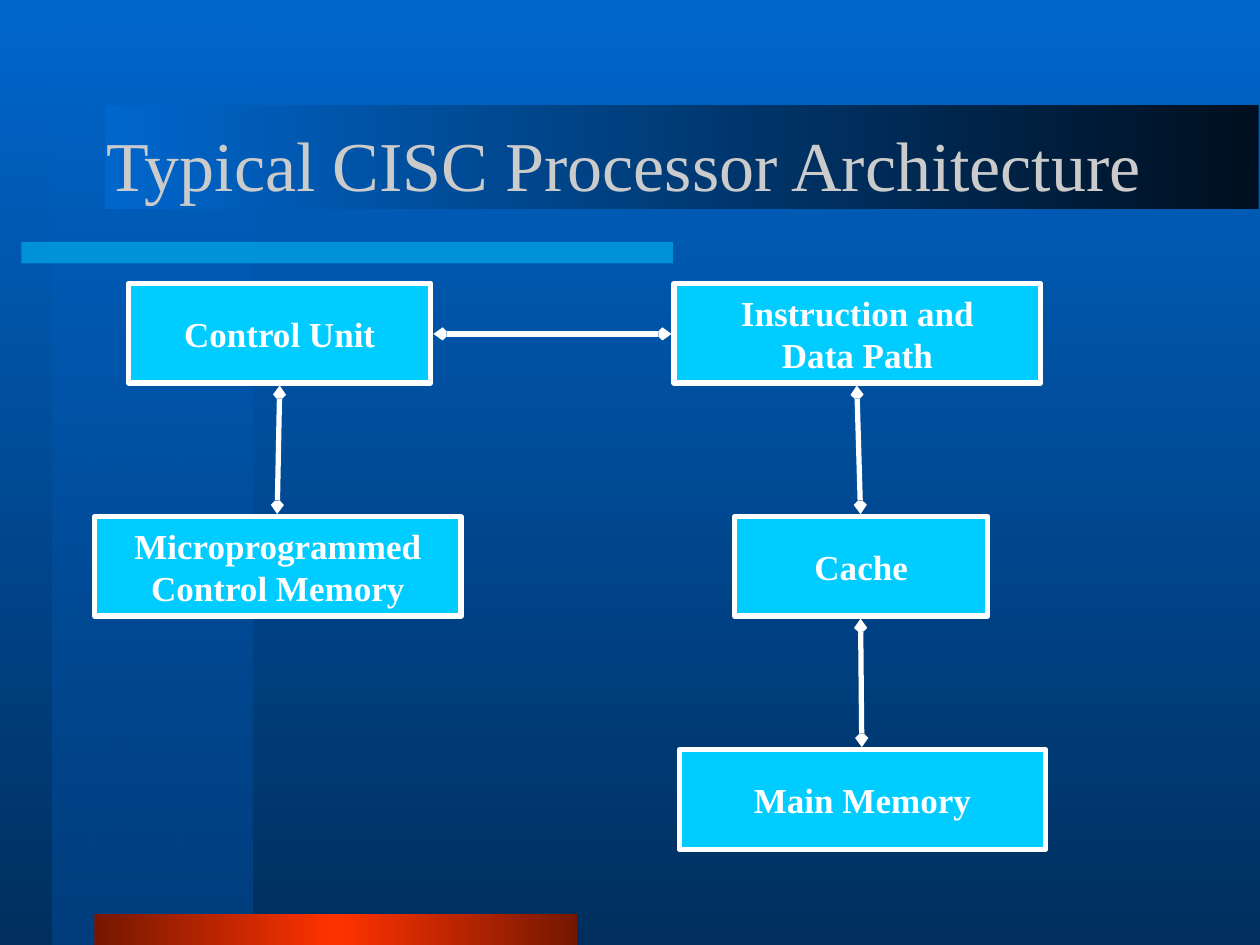
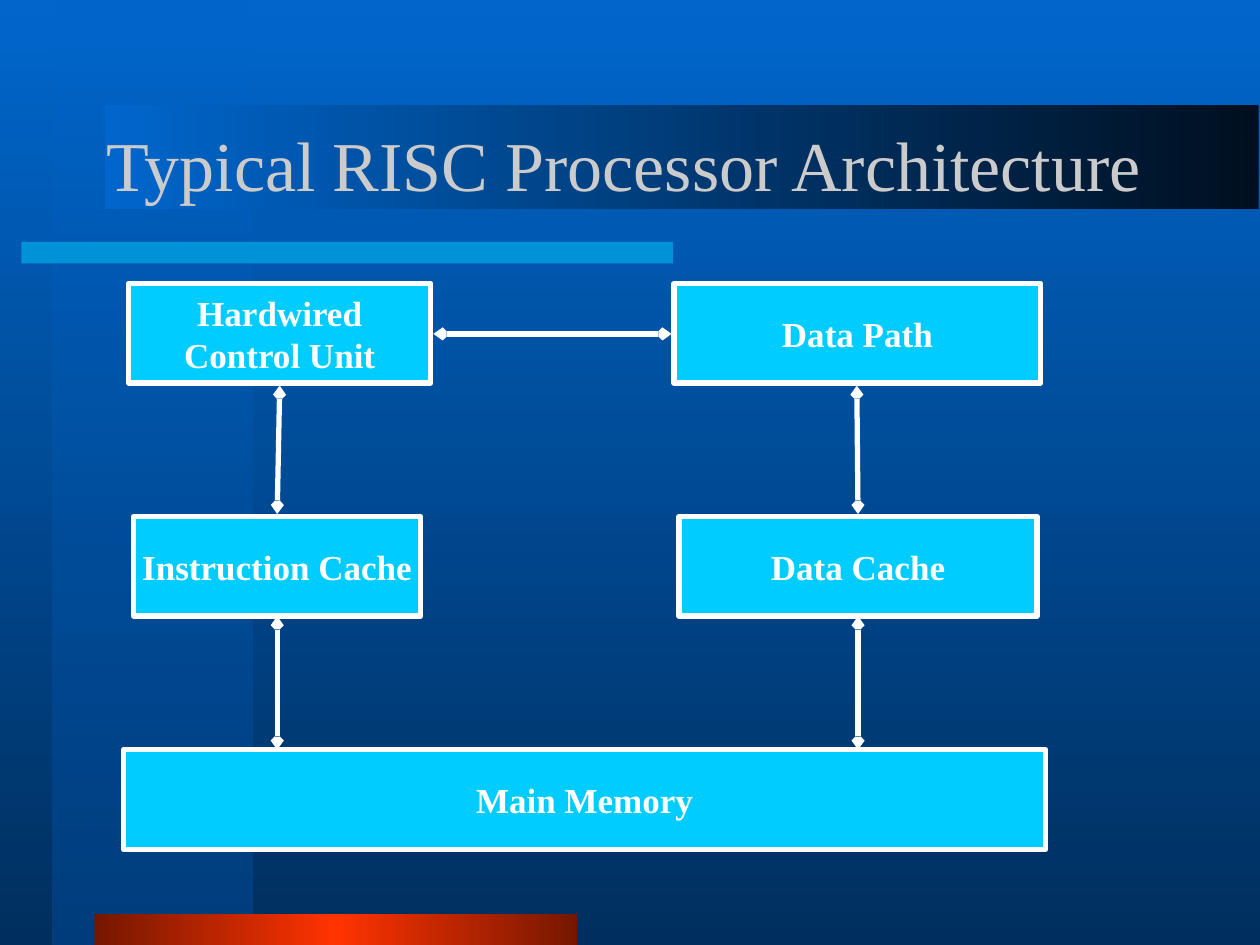
from dataclasses import dataclass
from typing import Any, Optional

from lxml.etree import SubElement
from pptx import Presentation
from pptx.dml.color import RGBColor
from pptx.enum.shapes import MSO_CONNECTOR, MSO_SHAPE
from pptx.enum.text import MSO_ANCHOR, PP_ALIGN
from pptx.oxml.ns import qn
from pptx.util import Emu, Pt

SCALE = 9144
FONT = "Times New Roman"
HEX = {
    "blue": "0066CC",
    "navy": "002F5E",
    "deep": "003E7D",
    "night": "000F1F",
    "cyan": "00CCFF",
    "rust": "751700",
    "red": "FF3300",
    "grey": "CBCBCB",
    "white": "FFFFFF",
}
ROWS = (225, 410, 595)
TALL = 79


@dataclass(frozen=True)
class Stop:
    pos: int
    tint: str
    alpha: int = 100


@dataclass(frozen=True)
class Band:
    left: int
    top: int
    width: int
    height: int
    stops: tuple[Stop, ...]
    angle: int = 0


@dataclass(frozen=True)
class Box:
    text: str
    left: int
    row: int
    width: int

    @property
    def top(self) -> int:
        return ROWS[self.row]

    @property
    def right(self) -> int:
        return self.left + self.width

    @property
    def base(self) -> int:
        return self.top + TALL

    @property
    def mid(self) -> int:
        return self.left + self.width // 2


@dataclass(frozen=True)
class Link:
    start: str
    end: str
    gap: int = 2
    plumb: bool = False


@dataclass(frozen=True)
class Page:
    title: str
    boxes: dict[str, Box]
    links: tuple[Link, ...]


BACK = (Stop(0, "blue"), Stop(100, "navy"))
BANDS = (
    Band(42, 0, 158, 750, (Stop(0, "blue", 50), Stop(100, "deep")), 90),
    Band(17, 192, 517, 17, (Stop(0, "cyan", 50),)),
    Band(75, 725, 383, 25, (Stop(0, "rust"), Stop(50, "red"), Stop(100, "rust")), 180),
    Band(83, 83, 916, 83, (Stop(0, "night"), Stop(100, "blue")), 180),
)
PAGES = (
    Page(
        "Typical CISC Processor Architecture",
        {
            "unit": Box("Control Unit", 102, 0, 240),
            "data": Box("Instruction and\nData Path", 535, 0, 291),
            "cache": Box("Cache", 583, 1, 201),
            "micro": Box("Microprogrammed\nControl Memory", 75, 1, 291),
            "main": Box("Main Memory", 539, 2, 291),
        },
        (
            Link("unit", "data"),
            Link("data", "cache"),
            Link("cache", "main"),
            Link("unit", "micro"),
        ),
    ),
    Page(
        "Typical RISC Processor Architecture",
        {
            "unit": Box("Hardwired\nControl Unit", 102, 0, 240),
            "data": Box("Data Path", 535, 0, 291),
            "cache": Box("Data Cache", 539, 1, 284),
            "code": Box("Instruction Cache", 106, 1, 228),
            "main": Box("Main Memory", 98, 2, 732),
        },
        (
            Link("unit", "data"),
            Link("data", "cache"),
            Link("unit", "code"),
            Link("cache", "main", 0, True),
            Link("code", "main", 0, True),
        ),
    ),
)


def px(*marks: int) -> list[Emu]:
    return [Emu(mark * SCALE) for mark in marks]


def rgb(tint: str) -> RGBColor:
    return RGBColor.from_string(HEX[tint])


def add_tint(node: Any, tint: str, alpha: int) -> None:
    color = SubElement(node, qn("a:srgbClr"), val=HEX[tint])
    if alpha < 100:
        SubElement(color, qn("a:alpha"), val=str(alpha * 1000))


def blend(item: Any, fill: Any, stops: tuple[Stop, ...], angle: int) -> None:
    fill.gradient()
    grad = next(item.element.iter(qn("a:gradFill")))
    ramp = grad.find(qn("a:gsLst"))
    for old in list(ramp):
        ramp.remove(old)
    for stop in stops:
        node = SubElement(ramp, qn("a:gs"), pos=str(stop.pos * 1000))
        add_tint(node, stop.tint, stop.alpha)
    grad.find(qn("a:lin")).set("ang", str(angle * 60000))


def add_rect(slide: Any, left: int, top: int, width: int, height: int) -> Any:
    rect = slide.shapes.add_shape(MSO_SHAPE.RECTANGLE, *px(left, top, width, height))
    rect.shadow.inherit = False
    return rect


def draw_band(slide: Any, band: Band) -> None:
    rect = add_rect(slide, band.left, band.top, band.width, band.height)
    rect.line.fill.background()
    if len(band.stops) > 1:
        blend(rect, rect.fill, band.stops, band.angle)
        return
    stop = band.stops[0]
    rect.fill.solid()
    rect.fill.fore_color.rgb = rgb(stop.tint)
    color = next(rect.element.spPr.iter(qn("a:srgbClr")))
    SubElement(color, qn("a:alpha"), val=str(stop.alpha * 1000))


def write(shape: Any, text: str, size: int, tint: str, bold: bool = False,
          align: Optional[PP_ALIGN] = None, wrap: bool = False) -> None:
    frame = shape.text_frame
    frame.text = text
    frame.word_wrap = wrap
    frame.vertical_anchor = MSO_ANCHOR.MIDDLE
    for para in frame.paragraphs:
        para.alignment = align
        font = para.font
        font.name, font.size, font.bold = FONT, Pt(size), bold
        font.color.rgb = rgb(tint)


def draw_box(slide: Any, box: Box) -> None:
    rect = add_rect(slide, box.left, box.top, box.width, TALL)
    rect.fill.solid()
    rect.fill.fore_color.rgb = rgb("cyan")
    rect.line.color.rgb = rgb("white")
    rect.line.width = Pt(3)
    write(rect, box.text, 20, "white", True, PP_ALIGN.CENTER)


def draw_link(slide: Any, link: Link, boxes: dict[str, Box]) -> None:
    start, end = boxes[link.start], boxes[link.end]
    if start.row == end.row:
        level = start.top + TALL // 2 + 1
        ends = (start.right + link.gap, level, end.left - link.gap, level)
    else:
        foot = start.mid if link.plumb else end.mid
        ends = (start.mid, start.base + link.gap, foot, end.top - link.gap)
    wire = slide.shapes.add_connector(MSO_CONNECTOR.STRAIGHT, *px(*ends))
    wire.line.color.rgb = rgb("white")
    wire.line.width = Pt(3)
    stroke = wire.line.fill and wire.element.spPr.find(qn("a:ln"))
    for tip in ("a:headEnd", "a:tailEnd"):
        SubElement(stroke, qn(tip), type="arrow", w="sm", len="sm")
    SubElement(wire.element.spPr, qn("a:effectLst"))


def draw_page(deck: Any, page: Page) -> None:
    slide = deck.slides.add_slide(deck.slide_layouts[6])
    blend(slide, slide.background.fill, BACK, 90)
    for band in BANDS:
        draw_band(slide, band)
    title = slide.shapes.add_textbox(*px(75, 67, 850, 125))
    write(title, page.title, 40, "grey", wrap=True)
    for box in page.boxes.values():
        draw_box(slide, box)
    for link in page.links:
        draw_link(slide, link, page.boxes)


def main() -> None:
    deck = Presentation()
    deck.slide_width, deck.slide_height = px(1000, 750)
    for page in PAGES:
        draw_page(deck, page)
    deck.save("out.pptx")


if __name__ == "__main__":
    main()
